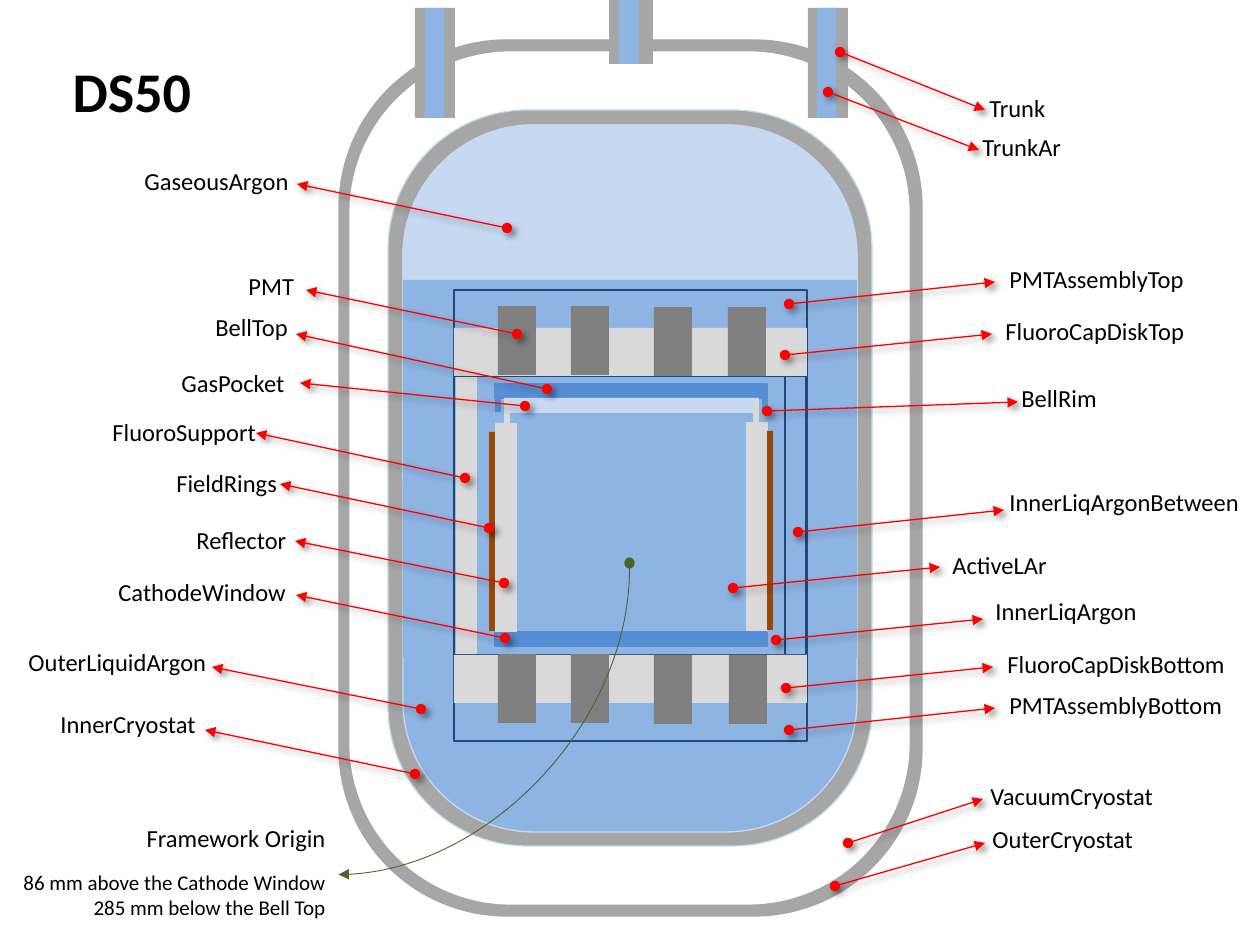
from typing import NamedTuple, Optional

from lxml.etree import SubElement
from pptx import Presentation
from pptx.dml.color import RGBColor
from pptx.enum.shapes import MSO_CONNECTOR, MSO_SHAPE
from pptx.enum.text import MSO_ANCHOR, MSO_AUTO_SIZE, PP_ALIGN
from pptx.oxml.ns import qn
from pptx.util import Pt

EMU_PER_PX = 914400 / 126
FONT = "Calibri"
BLACK, WHITE, RED, OLIVE = "000000", "FFFFFF", "FF0000", "4F6228"
STEEL, FLUORO, PMT_GREY, COPPER = "A6A6A6", "D9D9D9", "808080", "984807"
GAS, LIQUID, WINDOW, OUTLINE = "C6D9F1", "8EB4E3", "558ED5", "1F497D"
LABEL_HEIGHT = 43
PMT_WIDTH, PMT_HEIGHT = 38, 69


class Part(NamedTuple):
    x: int
    y: int
    width: int
    height: int
    fill: str
    line: Optional[str] = None
    preset: MSO_SHAPE = MSO_SHAPE.RECTANGLE


class Callout(NamedTuple):
    name: str
    x: int
    y: int
    width: int
    start: tuple[int, int]
    tip: tuple[int, int]


ROUND = MSO_SHAPE.ROUNDED_RECTANGLE

VESSELS = [
    Part(339, 40, 583, 876, STEEL, STEEL, ROUND),
    Part(350, 52, 559, 852, WHITE, WHITE, ROUND),
    Part(388, 110, 484, 736, STEEL, GAS, ROUND),
    Part(403, 125, 454, 707, LIQUID, GAS, ROUND),
    Part(415, 8, 40, 110, STEEL),
    Part(425, 8, 19, 110, LIQUID),
    Part(808, 8, 40, 110, STEEL),
    Part(817, 8, 19, 110, LIQUID),
    Part(609, 0, 44, 64, STEEL),
    Part(619, 0, 20, 64, LIQUID),
    Part(403, 125, 454, 479, GAS, GAS, ROUND),
    Part(403, 280, 454, 378, LIQUID),
]

DETECTOR = [
    Part(454, 375, 353, 280, LIQUID, OUTLINE),
    Part(456, 375, 21, 280, FLUORO),
    Part(785, 375, 21, 280, LIQUID, OUTLINE),
    Part(454, 290, 353, 86, LIQUID, OUTLINE),
    Part(454, 655, 353, 86, LIQUID, OUTLINE),
    Part(454, 328, 353, 48, FLUORO),
    Part(454, 655, 353, 48, FLUORO),
    Part(498, 306, PMT_WIDTH, PMT_HEIGHT, PMT_GREY),
    Part(495, 632, 272, 14, WINDOW, WINDOW),
    Part(495, 384, 272, 14, WINDOW, WINDOW),
    Part(495, 423, 22, 209, FLUORO),
    Part(504, 398, 6, 34, FLUORO),
    Part(746, 422, 22, 209, FLUORO),
    Part(753, 398, 6, 34, FLUORO),
    Part(510, 398, 243, 15, GAS),
    Part(495, 397, 6, 15, WINDOW),
    Part(762, 398, 6, 15, WINDOW),
    Part(489, 432, 6, 199, COPPER),
    Part(767, 431, 6, 199, COPPER),
]

PMT_CORNERS = [(571, 306), (654, 307), (728, 307),
               (498, 654), (571, 654), (654, 655), (729, 655)]

CALLOUTS = [
    Callout("FluoroSupport", 100, 411, 169, (465, 478), (256, 433)),
    Callout("InnerLiqArgonBetween", 997, 481, 257, (798, 532), (1004, 510)),
    Callout("InnerLiqArgon", 983, 590, 169, (776, 640), (983, 619)),
    Callout("PMTAssemblyTop", 997, 258, 205, (789, 304), (995, 282)),
    Callout("PMTAssemblyBottom", 997, 684, 242, (789, 730), (995, 708)),
    Callout("FluoroCapDiskBottom", 995, 643, 244, (786, 688), (993, 667)),
    Callout("FluoroCapDiskTop", 993, 310, 207, (785, 355), (992, 334)),
    Callout("PMT", 236, 265, 72, (517, 334), (306, 290)),
    Callout("FieldRings", 164, 462, 127, (489, 528), (280, 484)),
    Callout("Reflector", 184, 519, 117, (504, 583), (295, 541)),
    Callout("GasPocket", 169, 362, 131, (525, 406), (300, 383)),
    Callout("ActiveLAr", 940, 544, 121, (733, 588), (940, 567)),
    Callout("CathodeWindow", 106, 571, 195, (505, 638), (296, 595)),
    Callout("BellTop", 203, 306, 101, (547, 389), (296, 334)),
    Callout("BellRim", 1009, 377, 102, (767, 411), (1018, 402)),
    Callout("OuterLiquidArgon", 16, 641, 205, (421, 709), (212, 667)),
    Callout("InnerCryostat", 48, 703, 163, (415, 774), (205, 730)),
    Callout("VacuumCryostat", 978, 775, 192, (848, 843), (983, 799)),
    Callout("OuterCryostat", 980, 818, 168, (835, 886), (985, 843)),
    Callout("GaseousArgon", 132, 160, 171, (507, 228), (297, 184)),
    Callout("Trunk", 977, 87, 83, (840, 52), (985, 110)),
    Callout("TrunkAr", 970, 126, 107, (828, 92), (979, 150)),
]


def px(*lengths: int) -> list[int]:
    return [round(length * EMU_PER_PX) for length in lengths]


def color(hex_value: str) -> RGBColor:
    return RGBColor.from_string(hex_value)


def draw_part(shapes, part: Part) -> None:
    shape = shapes.add_shape(part.preset, *px(part.x, part.y, part.width, part.height))
    shape.shadow.inherit = False
    if part.preset == ROUND:
        shape.adjustments[0] = 0.288
    shape.fill.solid()
    shape.fill.fore_color.rgb = color(part.fill)
    if part.line:
        shape.line.color.rgb = color(part.line)
        shape.line.width = Pt(0.75)
    else:
        shape.line.fill.background()


def draw_arrow(shapes, kind, start, end, line_color: str, width: float, head=None):
    arrow = shapes.add_connector(kind, *px(*start, *end))
    arrow.line.color.rgb = color(line_color)
    arrow.line.width = Pt(width)
    line = arrow.line._get_or_add_ln()
    if head:
        SubElement(line, qn("a:headEnd"), type=head)
    SubElement(line, qn("a:tailEnd"), type="triangle")
    effects = SubElement(arrow._element.spPr, qn("a:effectLst"))
    return arrow, effects


def style_paragraph(paragraph, size: int, bold: bool = False) -> None:
    paragraph.font.name = FONT
    paragraph.font.size = Pt(size)
    paragraph.font.bold = bold
    paragraph.font.color.rgb = color(BLACK)


def draw_callout(shapes, callout: Callout) -> None:
    _, effects = draw_arrow(shapes, MSO_CONNECTOR.STRAIGHT, callout.start, callout.tip,
                            RED, 0.75, "oval")
    shadow = SubElement(effects, qn("a:outerShdw"), blurRad=str(Pt(4)), dist=str(Pt(3)),
                        dir="2700000", algn="tl", rotWithShape="0")
    shade = SubElement(shadow, qn("a:srgbClr"), val=BLACK)
    SubElement(shade, qn("a:alpha"), val="43000")
    label = shapes.add_textbox(*px(callout.x, callout.y, callout.width, LABEL_HEIGHT))
    label.text_frame.word_wrap = False
    label.text_frame.text = callout.name
    style_paragraph(label.text_frame.paragraphs[0], 14)


def draw_title(title) -> None:
    title.left, title.top, title.width, title.height = px(60, 50, 145, 81)
    frame = title.text_frame
    frame.text = "DS50"
    frame.word_wrap = False
    frame.auto_size = MSO_AUTO_SIZE.NONE
    frame.vertical_anchor = MSO_ANCHOR.TOP
    frame.paragraphs[0].alignment = PP_ALIGN.LEFT
    style_paragraph(frame.paragraphs[0], 32, True)


def draw_origin(shapes) -> None:
    draw_part(shapes, Part(625, 558, 9, 10, OLIVE, OLIVE, MSO_SHAPE.OVAL))
    note = shapes.add_textbox(*px(3, 817, 335, 115)).text_frame
    note.word_wrap = True
    note.text = "Framework Origin\n86 mm above the Cathode Window\n285 mm below the Bell Top"
    for paragraph, size in zip(note.paragraphs, (14, 12, 12)):
        paragraph.alignment = PP_ALIGN.RIGHT
        style_paragraph(paragraph, size)
    note.paragraphs[1].space_before = Pt(9.6)
    curve, _ = draw_arrow(shapes, MSO_CONNECTOR.CURVE, (331, 576), (637, 867), OLIVE, 0.5)
    properties = curve._element.spPr
    properties.find(qn("a:prstGeom")).set("prst", "curvedConnector2")
    properties.find(qn("a:xfrm")).set("rot", "5400000")


def main() -> None:
    """Build the labelled DS50 detector cross-section."""
    deck = Presentation()
    deck.slide_width, deck.slide_height = px(1260, 945)
    slide = deck.slides.add_slide(deck.slide_layouts[5])
    draw_title(slide.shapes.title)
    for assembly in (VESSELS, DETECTOR):
        group = slide.shapes.add_group_shape()
        for part in assembly:
            draw_part(group.shapes, part)
    for x, y in PMT_CORNERS:
        draw_part(slide.shapes, Part(x, y, PMT_WIDTH, PMT_HEIGHT, PMT_GREY))
    for callout in CALLOUTS:
        draw_callout(slide.shapes, callout)
    draw_origin(slide.shapes)
    deck.save("out.pptx")


if __name__ == "__main__":
    main()
